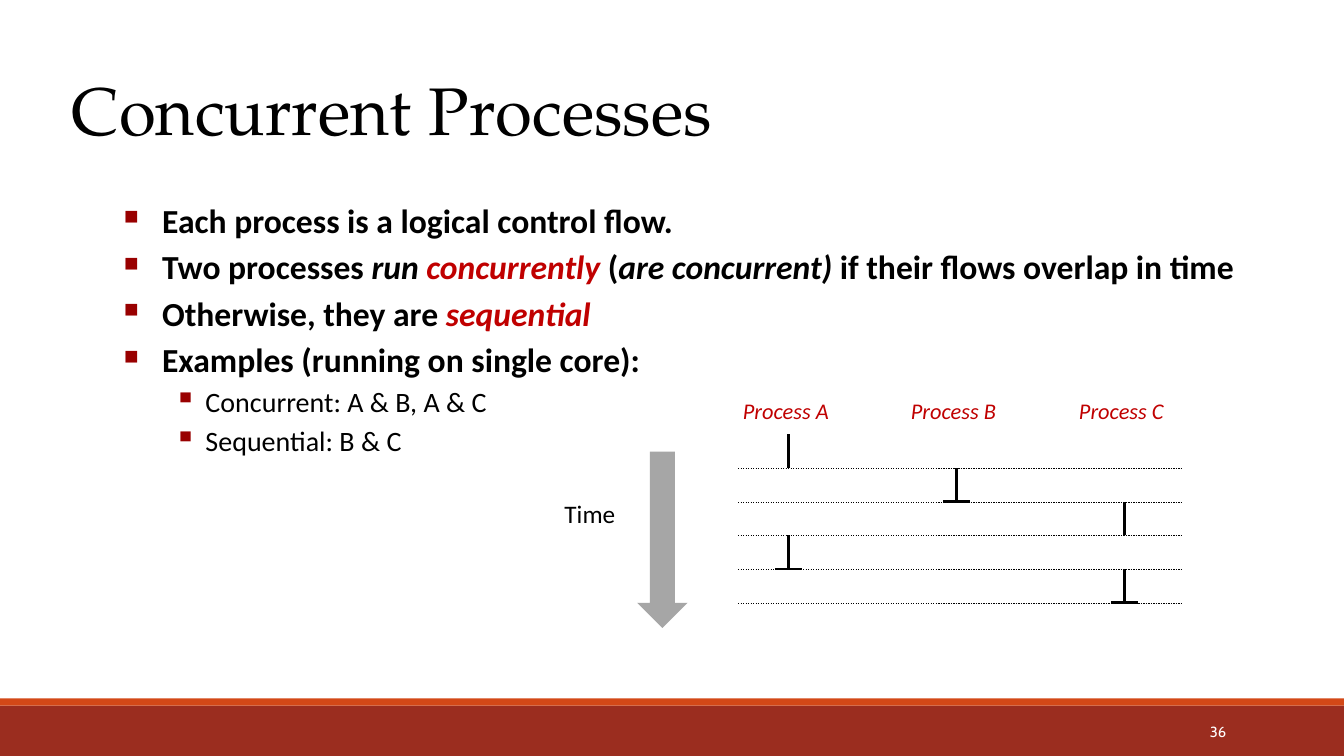
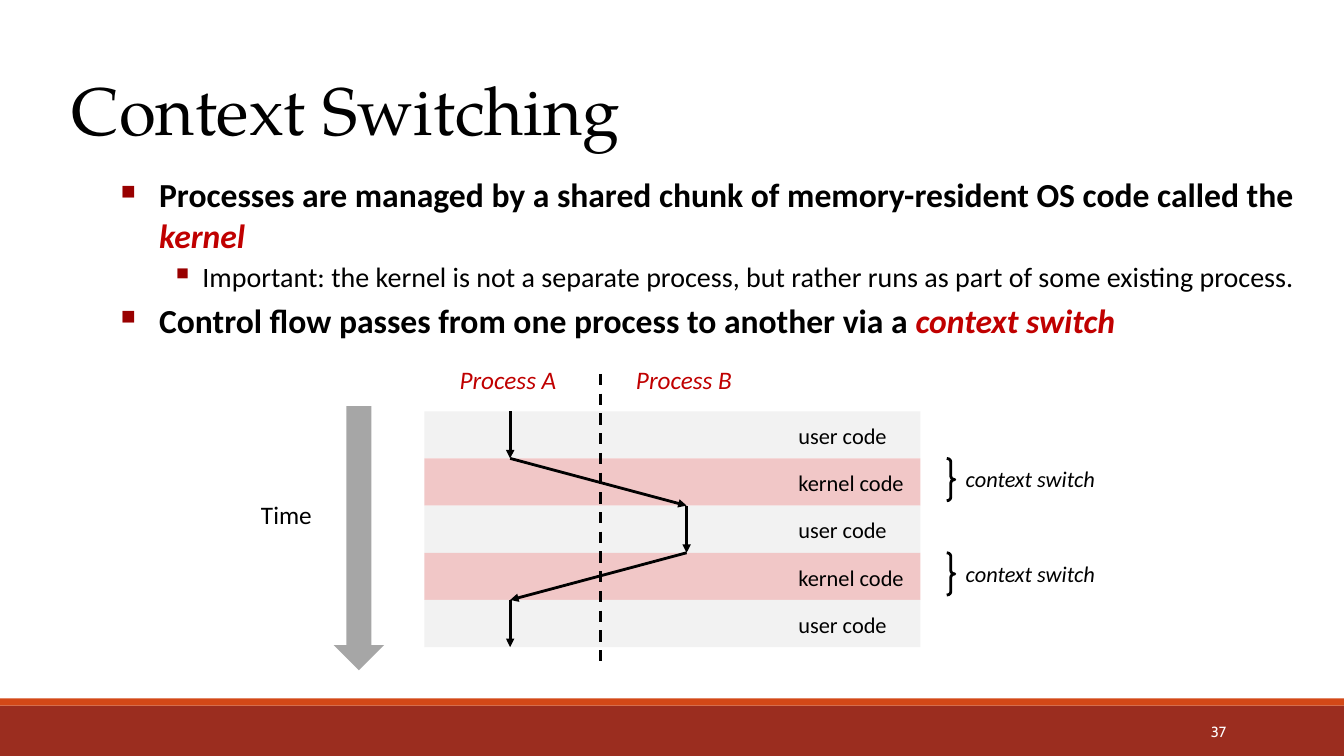
from pptx import Presentation
from pptx import util as u
from pptx.dml.color import RGBColor
from pptx.enum import dml, shapes, text
from pptx.oxml import ns
from lxml import etree

COLORS = {
    "ink": "000000", "accent": "C00000", "bullet": "990000", "white": "FFFFFF",
    "band": "9B2D1F", "stripe": "D34817", "arrow": "A6A6A6",
    "user": "F2F2F2", "kernel": "F1C7C7",
}
TITLE_FONT, BODY_FONT, NUMBER_FONT = "TeX Gyre Pagella", "Calibri", "Cabin"
BULLETS = [
    {"char": "■", "scale": 60, "margin": 0.38, "hang": 0.38, "size": 24, "before": 4.5},
    {"char": "▪", "scale": 110, "margin": 0.81, "hang": 0.31, "size": 20, "before": 3.6},
]


def color(name):
    return RGBColor.from_string(COLORS[name])


def inches(*lengths):
    return [u.Inches(length) for length in lengths]


def add_xml(parent, tag, **attributes):
    return etree.SubElement(parent, ns.qn(tag), attributes)


def set_font(font, name, size, shade="ink", italic=False):
    font.name, font.size, font.italic = name, u.Pt(size), italic
    font.color.rgb = color(shade)


def add_label(page, box, words, size, shade="ink", italic=False, font=BODY_FONT, wrap=False):
    label = page.shapes.add_textbox(*inches(*box))
    label.text_frame.word_wrap = wrap
    para = label.text_frame.paragraphs[0]
    para.text = words
    set_font(para.font, font, size, shade, italic)
    return label


def add_block(page, box, fill, kind=shapes.MSO_SHAPE.RECTANGLE):
    block = page.shapes.add_shape(kind, *inches(*box))
    block.shadow.inherit = False
    block.fill.solid()
    block.fill.fore_color.rgb = color(fill)
    block.line.fill.background()
    return block


def add_line(page, start, end, width=2, dashed=False, arrow=False):
    line = page.shapes.add_connector(shapes.MSO_CONNECTOR.STRAIGHT, *inches(*start, *end))
    line.line.color.rgb = color("ink")
    line.line.width = u.Pt(width)
    if dashed:
        line.line.dash_style = dml.MSO_LINE.DASH
    properties = line._element.spPr
    if arrow:
        add_xml(properties.find(ns.qn("a:ln")), "a:tailEnd", type="triangle")
    add_xml(properties, "a:effectLst")


def add_page(deck, title, number):
    page = deck.slides.add_slide(deck.slide_layouts[5])
    add_block(page, (0, 7, 13.33, 0.5), "band")
    add_block(page, (0, 6.93, 13.33, 0.07), "stripe")
    heading = page.shapes.title
    heading.left, heading.top, heading.width, heading.height = inches(0.61, 0.76, 8.23, 0.63)
    heading.text_frame.text = title
    heading.text_frame.auto_size = text.MSO_AUTO_SIZE.NONE
    heading.text_frame.vertical_anchor = text.MSO_ANCHOR.MIDDLE
    para = heading.text_frame.paragraphs[0]
    para.alignment = text.PP_ALIGN.LEFT
    set_font(para.font, TITLE_FONT, 48)
    footer = add_label(page, (10.83, 7.06, 1.43, 0.4), str(number), 10.5, "white",
                       font=NUMBER_FONT, wrap=True)
    footer.text_frame.vertical_anchor = text.MSO_ANCHOR.MIDDLE
    footer.text_frame.paragraphs[0].alignment = text.PP_ALIGN.RIGHT
    return page


def add_bullets(page, box, items):
    frame = page.shapes.add_textbox(*inches(*box)).text_frame
    frame.word_wrap = True
    for index, (level, spans) in enumerate(items):
        para = frame.add_paragraph() if index else frame.paragraphs[0]
        style = BULLETS[level]
        para.level = level
        para.space_before = u.Pt(style["before"])
        set_font(para.font, BODY_FONT, style["size"])
        para.font.bold = level == 0
        properties = para._p.get_or_add_pPr()
        properties.set("marL", str(u.Inches(style["margin"])))
        properties.set("indent", str(-u.Inches(style["hang"])))
        defaults = properties.find(ns.qn("a:defRPr"))
        bullet_color = add_xml(properties, "a:buClr")
        add_xml(bullet_color, "a:srgbClr", val=COLORS["bullet"])
        add_xml(properties, "a:buSzPct", val=str(style["scale"] * 1000))
        add_xml(properties, "a:buChar", char=style["char"])
        properties.append(defaults)
        for words, look in spans:
            span = para.add_run()
            span.text = words
            if look != "plain":
                span.font.italic = True
            if look == "accent":
                span.font.color.rgb = color("accent")


def add_time_arrow(page, box, label_top):
    left, top, width, height = box
    add_label(page, (left - 0.82, label_top, 0.89, 0.5), "Time", 18)
    add_block(page, box, "arrow", shapes.MSO_SHAPE.DOWN_ARROW)


def add_process_timeline(page, box):
    left, top, width, height = box
    row, column = height / 5, 5 / 3
    runs = {"A": [(0, False), (3, True)], "B": [(1, True)], "C": [(2, False), (4, True)]}
    for index in range(1, 6):
        y = top + index * row
        add_line(page, (left, y), (left + width, y), 0.25, dashed=True)
    for index, (name, slots) in enumerate(runs.items()):
        x = left + 0.5 + index * column
        add_label(page, (x - 0.55, top - 0.42, 1.09, 0.37), f"Process {name}", 16, "accent", True)
        for slot, ends in slots:
            y = top + slot * row
            add_line(page, (x, y), (x, y + row))
            if ends:
                add_line(page, (x - 0.13, y + row), (x + 0.13, y + row))


def add_switch_diagram(page, box):
    left, top, width, height = box
    row = height / 5
    lanes = [left + 0.85, left + 2.6]
    for index in range(5):
        y = top + index * row
        kind = "kernel" if index % 2 else "user"
        add_block(page, (left, y, width, row), kind)
        add_label(page, (left + 3.61, y + 0.06, 1.28 if index % 2 else 1.1, 0.37),
                  f"{kind} code", 16)
        if kind == "kernel":
            brace = page.shapes.add_shape(shapes.MSO_SHAPE.RIGHT_BRACE,
                                          *inches(left + width + 0.26, y, 0.08, 0.42))
            brace.shadow.inherit = False
            brace.adjustments[0] = 0.42
            brace.fill.background()
            brace.line.color.rgb = color("ink")
            brace.line.width = u.Pt(2)
            add_label(page, (left + width + 0.35, y + 0.02, 1.54, 0.37),
                      "context switch", 16, italic=True)
    for name, x in zip("AB", lanes):
        add_label(page, (x - 0.6, top - 0.51, 1.2, 0.4), f"Process {name}", 18, "accent", True)
    add_line(page, (left + 1.75, top - 0.37), (left + 1.75, top + height + 0.22), dashed=True)
    flow = [(lanes[lane], top + index * row) for index, lane in enumerate([0, 0, 1, 1, 0, 0])]
    for start, end in zip(flow, flow[1:]):
        add_line(page, start, end, arrow=True)


def build_concurrent(deck):
    page = add_page(deck, "Concurrent Processes", 36)
    add_bullets(page, (1.13, 1.93, 11.94, 4.78), [
        (0, [("Each process is a logical control flow. ", "plain")]),
        (0, [("Two processes ", "plain"), ("run ", "italic"), ("concurrently", "accent"),
             (" (", "plain"), ("are concurrent)", "italic"),
             (" if their flows overlap in time", "plain")]),
        (0, [("Otherwise, they are ", "plain"), ("sequential", "accent")]),
        (0, [("Examples (running on single core):", "plain")]),
        (1, [("Concurrent: A & B, A & C", "plain")]),
        (1, [("Sequential: B & C", "plain")]),
    ])
    add_process_timeline(page, (7.32, 4.31, 4.41, 1.67))
    add_time_arrow(page, (6.32, 4.48, 0.5, 1.75), 4.89)


def build_switching(deck):
    page = add_page(deck, "Context Switching", 37)
    add_bullets(page, (1.1, 1.68, 11.94, 4.78), [
        (0, [("Processes are managed by a shared chunk of memory-resident OS code called the ",
              "plain"), ("kernel", "accent")]),
        (1, [("Important: the kernel is not a separate process, but rather runs as part of "
              "some existing process.", "plain")]),
        (0, [("Control flow passes from one process to another via a ", "plain"),
             ("context switch", "accent")]),
    ])
    add_switch_diagram(page, (4.21, 4.08, 4.92, 2.34))
    add_time_arrow(page, (3.31, 4.03, 0.5, 2.62), 4.9)


deck = Presentation()
deck.slide_width, deck.slide_height = inches(13.33, 7.5)
build_concurrent(deck)
build_switching(deck)
deck.save("out.pptx")
